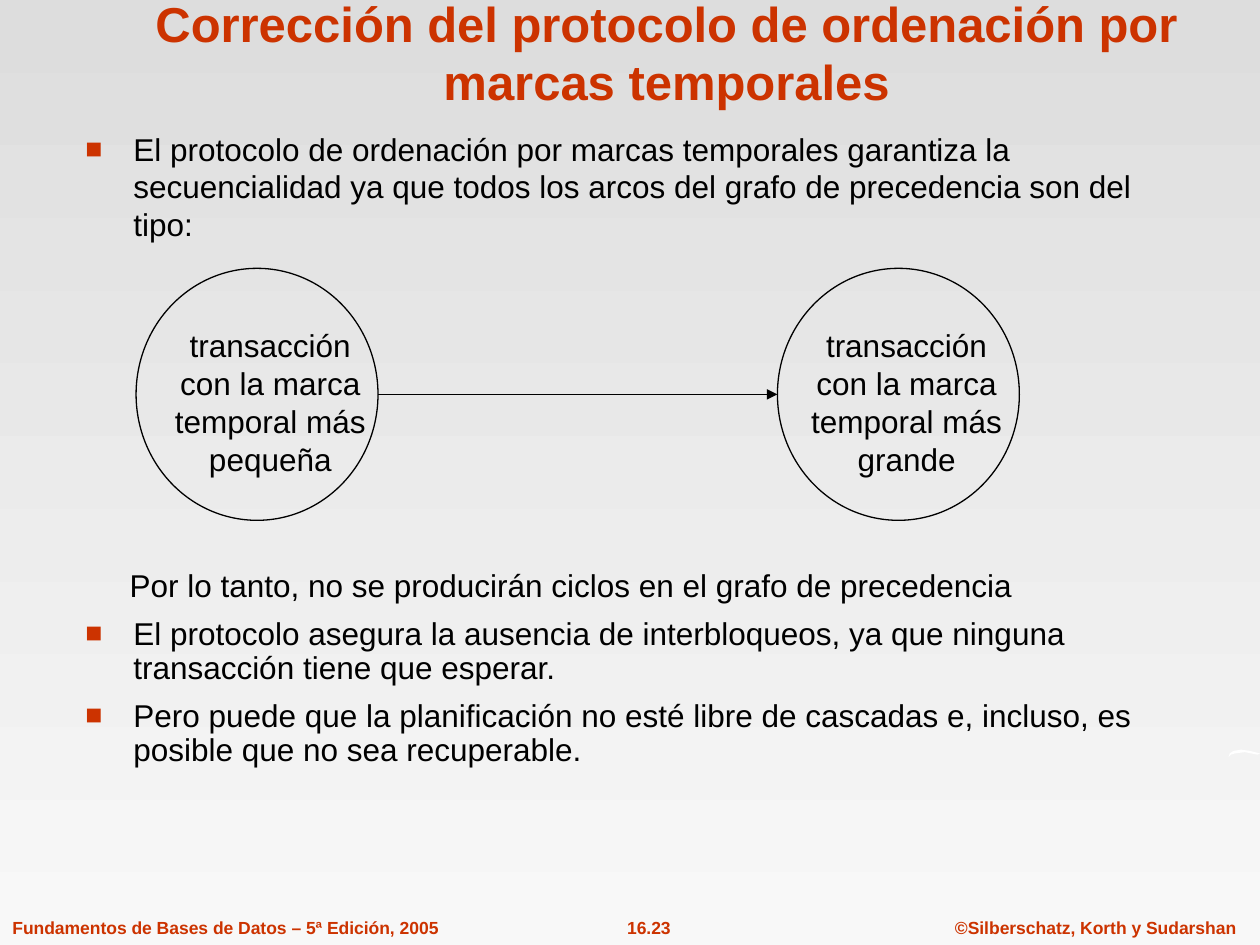
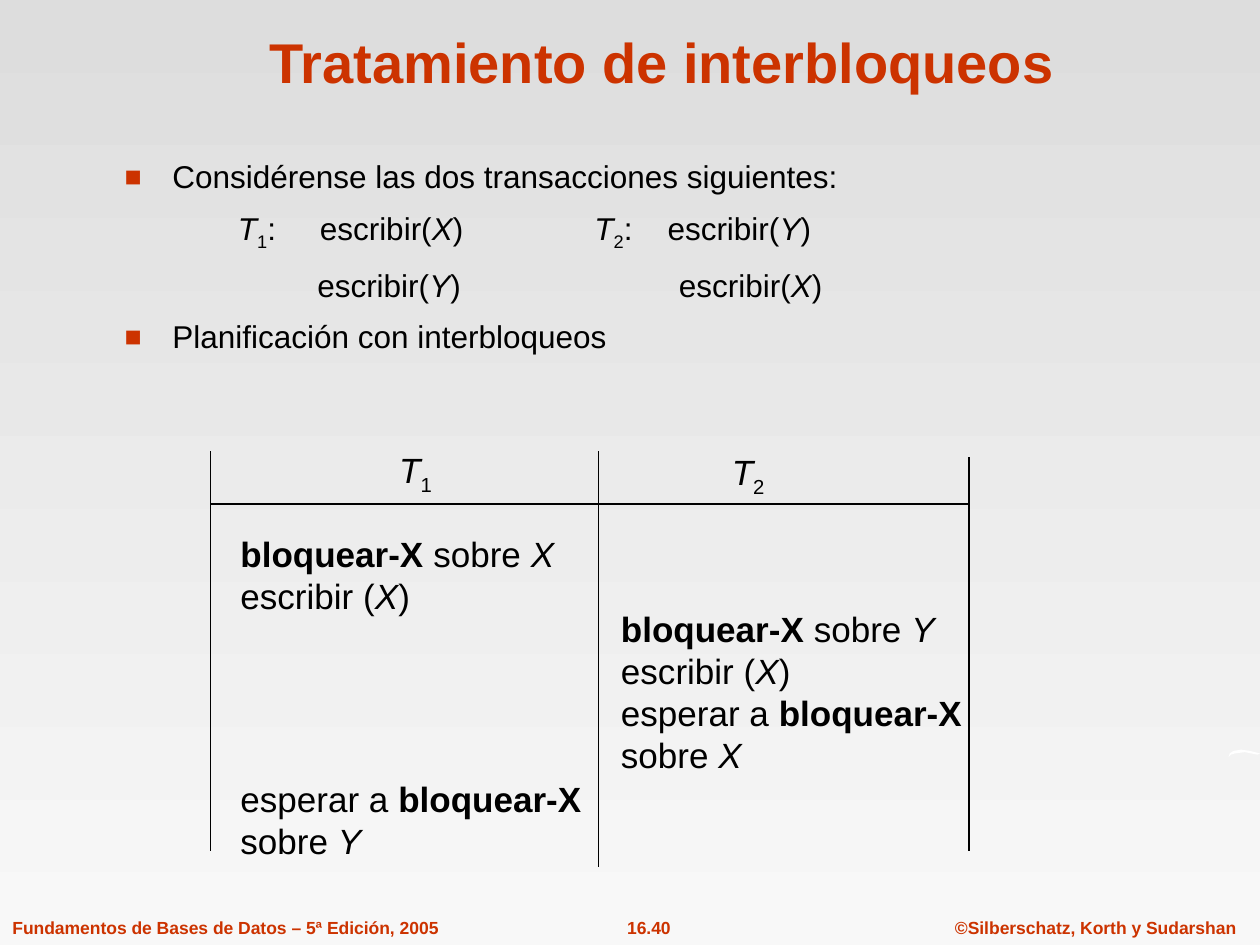
"""Builds two slides on timestamp ordering and deadlock handling."""
from lxml import etree
from pptx import Presentation
from pptx import util as u
from pptx.dml.color import RGBColor
from pptx.enum import shapes, text
from pptx.oxml.ns import qn

RED = RGBColor(0xCC, 0x33, 0x00)
BLACK = RGBColor(0x00, 0x00, 0x00)
WHITE = RGBColor(0xFF, 0xFF, 0xFF)
BACKDROP = (RGBColor(0xDD, 0xDD, 0xDD), RGBColor(0xF8, 0xF8, 0xF8))
FONT = "Arial"
LINE_RATIO = 1.2
CENTER, LEFT = text.PP_ALIGN.CENTER, text.PP_ALIGN.LEFT

FOOTERS = [
    ("Fundamentos de Bases de Datos – 5ª Edición, 2005", (0, 7.23, 3.58, 0.27), LEFT),
    ("16.{}", (4.62, 7.23, 1.06, 0.27), CENTER),
    ("©Silberschatz, Korth y Sudarshan", (7.48, 7.23, 2.43, 0.27), CENTER),
]
SWOOSH = [(975, 601), (976, 598), (979, 596), (985, 595), (992, 596), (1000, 598),
          (998, 599), (993, 598), (988, 597), (980, 598), (977, 599)]

BULLET = {"bullet": True, "before": 7.9}
TIGHT_BULLET = {**BULLET, "ratio": 0.9 * LINE_RATIO}
ORDERING = {
    "number": 23,
    "title": "Corrección del protocolo de ordenación por marcas temporales",
    "title_size": 28,
    "title_box": (0.58, 0.26, 9.42, 0.67),
    "body_box": (0.58, 0.98, 8.62, 5.78),
    "body": [
        (["El protocolo de ordenación por marcas temporales garantiza la secuencialidad "
          "ya que todos los arcos del grafo de precedencia son del tipo:"], BULLET),
        (["Por lo tanto, no se producirán ciclos en el grafo de precedencia"],
         {"before": 184.7, "margin": 0.35}),
        (["El protocolo asegura la ausencia de interbloqueos, ya que ninguna "
          "transacción tiene que esperar."], TIGHT_BULLET),
        (["Pero puede que la planificación no esté libre de cascadas e, incluso, es "
          "posible que no sea recuperable."], TIGHT_BULLET),
    ],
}
NODE_TOP, NODE_WIDTH, NODE_HEIGHT = 2.13, 1.92, 2
NODES = [("pequeña", 1.08, 1.27), ("grande", 6.17, 6.32)]
NODE_LINES = ["transacción", "con la marca", "temporal más"]

X, Y, T = ("X", "i"), ("Y", "i"), ("T", "i")
ONE, TWO = ("1", "s"), ("2", "s")
LOCK = ("bloquear-X", "b")
WRITE_X, WRITE_Y = ["escribir(", X, ")"], ["escribir(", Y, ")"]
DEADLOCK = {
    "number": 40,
    "title": "Tratamiento de interbloqueos",
    "title_size": 32,
    "title_box": (0.84, 0.13, 8.83, 0.67),
    "body_box": (0.89, 1.2, 8.38, 5.36),
    "body": [
        (["Considérense las dos transacciones siguientes:"], BULLET),
        (["Planificación con interbloqueos"], {**BULLET, "before": 69.8}),
    ],
}
TRANSACTIONS = [
    ((1.79, 1.65, 0.6, 0.4), [[T, ONE, ":"]]),
    ((2.44, 1.61, 1.5, 0.4), [WRITE_X]),
    ((2.42, 2.06, 1.5, 0.4), [WRITE_Y]),
    ((4.62, 1.65, 0.6, 0.4), [[T, TWO, ":"]]),
    ((5.2, 1.61, 1.5, 0.4), [WRITE_Y]),
    ((5.29, 2.06, 1.5, 0.4), [WRITE_X]),
]
SCHEDULE = [
    ((3.07, 3.56, 0.5, 0.43), [[T, ONE]]),
    ((5.71, 3.57, 0.5, 0.43), [[T, TWO]]),
    ((1.81, 4.18, 2.95, 0.77), [[LOCK, " sobre ", X], ["escribir (", X, ")"]]),
    ((4.83, 4.77, 2.95, 1.44), [[LOCK, " sobre ", Y], ["escribir (", X, ")"],
                                ["esperar a ", LOCK], ["sobre ", X]]),
    ((1.81, 6.12, 2.95, 0.77), [["esperar a ", LOCK], ["sobre ", Y]]),
]
HEADER_RULE = (1.67, 4, 7.69, 4)
COLUMN_RULES = [(1.67, 3.58, 6.75), (4.75, 3.58, 6.88), (7.69, 3.63, 6.75)]


def apply(target, values):
    """Set every attribute named in a dict."""
    for name, value in values.items():
        setattr(target, name, value)


def inches(values):
    """Convert a sequence of numbers to lengths."""
    return [u.Inches(value) for value in values]


def add_xml(parent, tag, **attributes):
    """Append a DrawingML element."""
    return etree.SubElement(parent, qn(tag), attributes)


def format_paragraph(paragraph, size, align=LEFT, before=0, ratio=LINE_RATIO,
                     margin=0, bullet=False):
    """Set spacing, indent and bullet."""
    apply(paragraph, {"alignment": align, "space_before": u.Pt(before),
                      "line_spacing": u.Pt(round(size * ratio, 2))})
    props = paragraph._p.get_or_add_pPr()
    indent = u.Inches(0.38) if bullet else 0
    props.set("marL", str(indent or u.Inches(margin)))
    props.set("indent", str(-indent))
    if bullet:
        add_xml(add_xml(props, "a:buClr"), "a:srgbClr", val=str(RED))
        add_xml(props, "a:buSzPct", val="90000")
        add_xml(props, "a:buFont", typeface=FONT)
        add_xml(props, "a:buChar", char="■")
    else:
        add_xml(props, "a:buNone")


def write(frame, paragraphs, size, color=BLACK, bold=False):
    """Fill a frame with (runs, layout) paragraphs."""
    for index, (runs, layout) in enumerate(paragraphs):
        paragraph = frame.add_paragraph() if index else frame.paragraphs[0]
        format_paragraph(paragraph, size, **layout)
        for part in runs:
            words, style = (part, "") if isinstance(part, str) else part
            run = paragraph.add_run()
            run.text = words
            apply(run.font, {"name": FONT, "size": u.Pt(size),
                             "bold": bold or style == "b", "italic": style == "i"})
            run.font.color.rgb = color
            if style == "s":
                run._r.get_or_add_rPr().set("baseline", "-25000")


def add_text(slide, box, paragraphs, size, wrap=False, **look):
    """Add a text box that grows with its text unless it wraps."""
    frame = slide.shapes.add_textbox(*inches(box)).text_frame
    fit = text.MSO_AUTO_SIZE.NONE if wrap else text.MSO_AUTO_SIZE.SHAPE_TO_FIT_TEXT
    apply(frame, {"word_wrap": wrap, "auto_size": fit})
    write(frame, paragraphs, size, **look)


def add_rule(slide, *ends):
    """Add a thin black straight line."""
    rule = slide.shapes.add_connector(shapes.MSO_CONNECTOR.STRAIGHT, *inches(ends))
    rule.line.color.rgb = BLACK
    rule.line.width = u.Pt(0.75)
    add_xml(rule._element.spPr, "a:effectLst")
    return rule


def add_slide(prs, content):
    """Add a slide with its swoosh, footers, title and body."""
    slide = prs.slides.add_slide(prs.slide_layouts[5])
    fill = slide.background.fill
    fill.gradient()
    fill.gradient_angle = 270
    for stop, color in zip(fill.gradient_stops, BACKDROP):
        stop.color.rgb = color

    outline = slide.shapes.build_freeform(*SWOOSH[0], scale=u.Inches(0.01))
    outline.add_line_segments(SWOOSH[1:], close=True)
    swoosh = outline.convert_to_shape()
    swoosh.shadow.inherit = False
    swoosh.fill.solid()
    swoosh.fill.fore_color.rgb = WHITE
    swoosh.line.fill.background()

    for words, box, align in FOOTERS:
        label = words.format(content["number"])
        add_text(slide, box, [([label], {"align": align})], 10, color=RED, bold=True)

    title = slide.shapes.title
    apply(title, dict(zip(("left", "top", "width", "height"),
                          inches(content["title_box"]))))
    apply(title.text_frame, {"word_wrap": True, "auto_size": text.MSO_AUTO_SIZE.NONE,
                             "vertical_anchor": text.MSO_ANCHOR.BOTTOM})
    write(title.text_frame, [([content["title"]], {"align": CENTER})],
          content["title_size"], color=RED, bold=True)
    add_text(slide, content["body_box"], content["body"], 18, wrap=True)
    return slide


def add_precedence_graph(slide):
    """Draw the two transactions and the arc between them."""
    for age, left, label_left in NODES:
        node = slide.shapes.add_shape(
            shapes.MSO_SHAPE.OVAL, *inches((left, NODE_TOP, NODE_WIDTH, NODE_HEIGHT)))
        node.shadow.inherit = False
        node.fill.background()
        node.line.color.rgb = BLACK
        node.line.width = u.Pt(0.75)
        add_text(slide, (label_left, 2.54, 1.75, 1.3),
                 [([line], {"align": CENTER}) for line in NODE_LINES + [age]], 18)
    middle = NODE_TOP + NODE_HEIGHT / 2
    arc = add_rule(slide, NODES[0][1] + NODE_WIDTH, middle, NODES[1][1], middle)
    add_xml(arc.line._get_or_add_ln(), "a:tailEnd", type="triangle")


def add_schedule(slide):
    """Draw the two transactions and their two-column schedule."""
    add_rule(slide, *HEADER_RULE)
    for x, top, bottom in COLUMN_RULES:
        add_rule(slide, x, top, x, bottom)
    for steps, size in ((TRANSACTIONS, 18), (SCHEDULE, 20)):
        for box, lines in steps:
            add_text(slide, box, [(line, {}) for line in lines], size)


def main():
    """Build and save the slides."""
    prs = Presentation()
    apply(prs, {"slide_width": u.Inches(10), "slide_height": u.Inches(7.5)})
    add_precedence_graph(add_slide(prs, ORDERING))
    add_schedule(add_slide(prs, DEADLOCK))
    prs.save("out.pptx")


if __name__ == "__main__":
    main()
